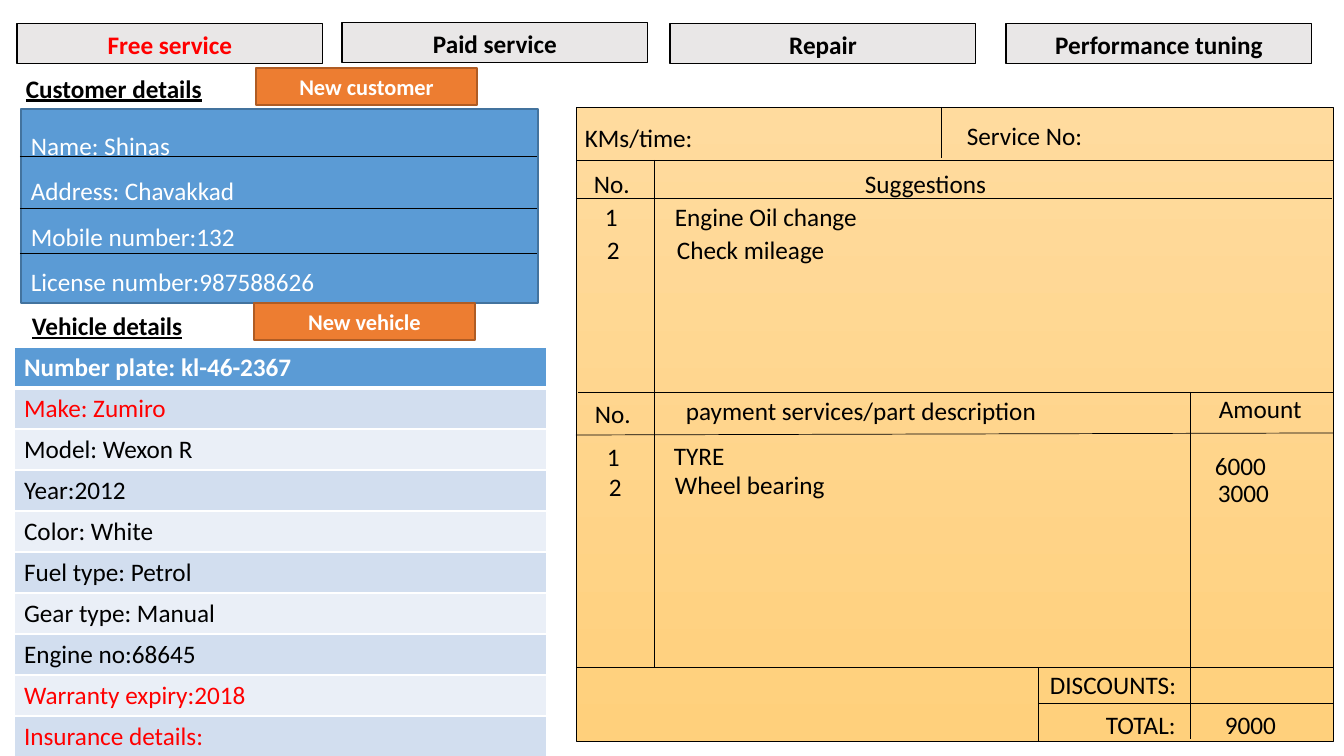
"""Build the vehicle service entry form slide."""
from lxml import etree
from pptx import Presentation
from pptx.dml.color import RGBColor
from pptx.enum.shapes import MSO_CONNECTOR, MSO_SHAPE
from pptx.enum.text import MSO_ANCHOR, PP_ALIGN
from pptx.oxml.ns import qn
from pptx.util import Pt

RECTANGLE = MSO_SHAPE.RECTANGLE
STRAIGHT = MSO_CONNECTOR.STRAIGHT
MIDDLE, TOP = MSO_ANCHOR.MIDDLE, MSO_ANCHOR.TOP
LEFT, CENTER = PP_ALIGN.LEFT, PP_ALIGN.CENTER

BLACK = RGBColor(0, 0, 0)
WHITE = RGBColor(255, 255, 255)
RED = RGBColor(255, 0, 0)
BLUE = RGBColor(0x5B, 0x9B, 0xD5)
DARK_BLUE = RGBColor(0x43, 0x73, 0x9E)
ORANGE = RGBColor(0xED, 0x7D, 0x31)
DARK_ORANGE = RGBColor(0xAF, 0x5C, 0x24)
GRAY = RGBColor(0xE9, 0xE7, 0xE7)
SAND_LIGHT = RGBColor(0xFF, 0xDB, 0x9E)
SAND_DARK = RGBColor(0xFF, 0xD0, 0x7C)
BANDS = (RGBColor(0xD2, 0xDE, 0xEF), RGBColor(0xEA, 0xEF, 0xF7))

FONT = "Calibri"
EMU_PER_PIXEL = 914400 / 100.8
TEXT_HEIGHT = 40
ROW_HEIGHT = 41

TABS = [
    ("Free service", 17, 24, RED),
    ("Paid service", 342, 23, BLACK),
    ("Repair", 670, 24, BLACK),
    ("Performance tuning", 1006, 24, BLACK),
]
BUTTONS = [("New customer", 256, 68), ("New vehicle", 254, 303)]
HEADINGS = [("Customer details", 16, 68), ("Vehicle details", 22, 305)]
CUSTOMER = ["Name: Shinas ", "Address: Chavakkad", "Mobile number:132", "License number:987588626"]
VEHICLE = [
    ("Number plate: kl-46-2367", WHITE),
    ("Make: Zumiro", RED),
    ("Model: Wexon R", BLACK),
    ("Year:2012", BLACK),
    ("Color: White", BLACK),
    ("Fuel type: Petrol", BLACK),
    ("Gear type: Manual", BLACK),
    ("Engine no:68645", BLACK),
    ("Warranty expiry:2018", RED),
    ("Insurance details:", RED),
]
JOB_CARD = (576, 107, 757, 634)
JOB_CARD_TEXTS = [
    ("KMs/time:", 575, 117, 192),
    ("Service No:", 957, 115, 273),
    ("No.", 584, 163, 66),
    ("Suggestions", 855, 163, 163),
    ("1", 595, 196, 49),
    ("Engine Oil change", 665, 196, 406),
    ("2", 597, 229, 40),
    ("Check mileage", 667, 229, 213),
    ("No.", 585, 393, 67),
    ("payment services/part description", 676, 390, 380),
    ("Amount", 1209, 388, 110),
    ("1", 597, 436, 44),
    ("TYRE", 664, 435, 370),
    ("2", 599, 466, 40),
    ("Wheel bearing", 665, 464, 240),
    ("6000", 1205, 445, 103),
    ("3000", 1208, 472, 88),
    ("DISCOUNTS:", 1040, 664, 179),
    ("TOTAL:", 1096, 704, 106),
    ("9000", 1215, 704, 101),
]
CUSTOMER_RULES = [(20, y, 537, y) for y in (156, 208, 253)]
JOB_CARD_RULES = [
    (576, 160, 1333, 160),
    (941, 107, 941, 158),
    (576, 198, 1332, 198),
    (654, 160, 654, 667),
    (578, 392, 1333, 392),
    (576, 435, 1333, 433),
    (1190, 392, 1190, 739),
    (576, 667, 1333, 667),
    (1038, 668, 1038, 741),
    (1038, 703, 1333, 703),
]


def pixels(*lengths):
    return [round(length * EMU_PER_PIXEL) for length in lengths]


def write(frame, lines, color, size=18, bold=False, underline=False,
          align=LEFT, spacing=1.0, anchor=TOP):
    frame.word_wrap = True
    frame.vertical_anchor = anchor
    for index, line in enumerate(lines):
        paragraph = frame.add_paragraph() if index else frame.paragraphs[0]
        paragraph.alignment = align
        paragraph.line_spacing = spacing
        run = paragraph.add_run()
        run.text = line
        run.font.name = FONT
        run.font.size = Pt(size)
        run.font.bold = bold
        run.font.underline = underline
        run.font.color.rgb = color


def add_text(slide, text, left, top, width, **style):
    box = slide.shapes.add_textbox(*pixels(left, top, width, TEXT_HEIGHT))
    write(box.text_frame, [text], BLACK, **style)


def add_box(slide, bounds, fill, line, line_width):
    shape = slide.shapes.add_shape(RECTANGLE, *pixels(*bounds))
    shape.shadow.inherit = False
    shape.fill.solid()
    shape.fill.fore_color.rgb = fill
    shape.line.color.rgb = line
    shape.line.width = Pt(line_width)
    return shape


def add_rule(slide, ends):
    connector = slide.shapes.add_connector(STRAIGHT, *pixels(*ends))
    connector.line.color.rgb = BLACK
    connector.line.width = Pt(0.5)
    etree.SubElement(connector._element.spPr, qn("a:effectLst"))


def add_borders(cell, bottom_width):
    properties = cell._tc.get_or_add_tcPr()
    for side, width in (("L", 1), ("R", 1), ("T", 1), ("B", bottom_width)):
        border = etree.SubElement(properties, qn("a:ln" + side), w=str(Pt(width)))
        fill = etree.SubElement(border, qn("a:solidFill"))
        etree.SubElement(fill, qn("a:srgbClr"), val=str(WHITE))


def add_vehicle_table(slide):
    bounds = pixels(14, 347, 533, ROW_HEIGHT * len(VEHICLE))
    table = slide.shapes.add_table(len(VEHICLE), 1, *bounds).table
    for index, (text, color) in enumerate(VEHICLE):
        table.rows[index].height = pixels(ROW_HEIGHT)[0]
        cell = table.cell(index, 0)
        add_borders(cell, 1 if index else 3)
        cell.fill.solid()
        cell.fill.fore_color.rgb = BANDS[(index - 1) % 2] if index else BLUE
        write(cell.text_frame, [text], color, bold=index == 0)


presentation = Presentation()
presentation.slide_width, presentation.slide_height = pixels(1344, 756)
slide = presentation.slides.add_slide(presentation.slide_layouts[6])

for text, left, top in HEADINGS:
    add_text(slide, text, left, top, 447, bold=True, underline=True)

customer_box = add_box(slide, (21, 109, 517, 194), BLUE, DARK_BLUE, 1)
write(customer_box.text_frame, CUSTOMER, WHITE, spacing=1.5, anchor=MIDDLE)

for text, left, top, color in TABS:
    tab = add_box(slide, (left, top, 306, 40), GRAY, BLACK, 0.75)
    write(tab.text_frame, [text], color, bold=True, align=CENTER, anchor=MIDDLE)

add_vehicle_table(slide)

for text, left, top in BUTTONS:
    button = add_box(slide, (left, top, 221, 37), ORANGE, DARK_ORANGE, 1)
    write(button.text_frame, [text], WHITE, size=16, bold=True, align=CENTER, anchor=MIDDLE)

job_card = add_box(slide, JOB_CARD, SAND_LIGHT, BLACK, 0.5)
job_card.fill.gradient()
job_card.fill.gradient_angle = 270
for stop, color, position in zip(job_card.fill.gradient_stops, (SAND_LIGHT, SAND_DARK), (0, 1)):
    stop.color.rgb = color
    stop.position = position

for ends in CUSTOMER_RULES + JOB_CARD_RULES:
    add_rule(slide, ends)
for text, left, top, width in JOB_CARD_TEXTS:
    add_text(slide, text, left, top, width)

presentation.save("out.pptx")
